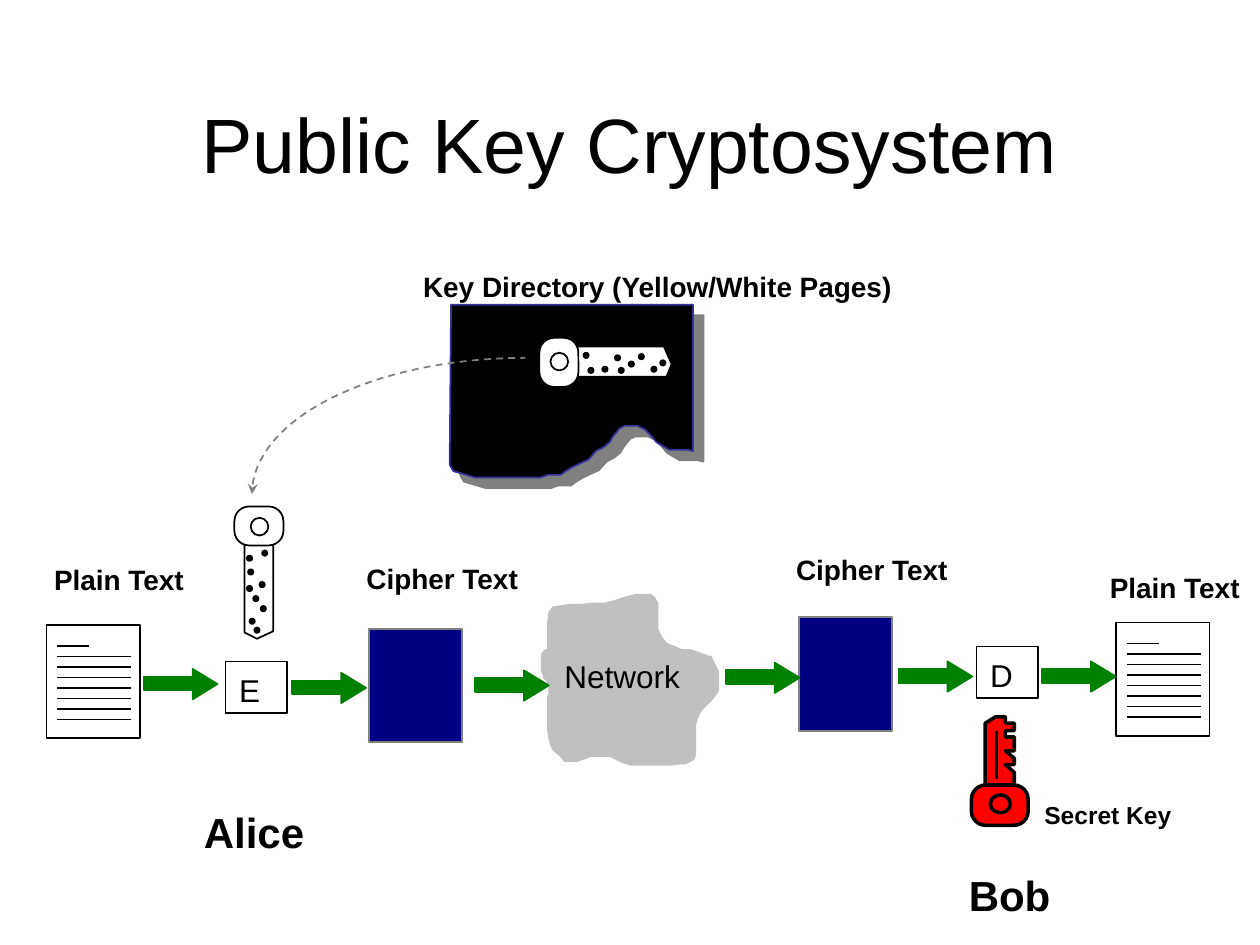
import math

import lxml.etree
import pptx
import pptx.dml.color
import pptx.enum.dml
import pptx.enum.shapes
import pptx.enum.text
import pptx.oxml.ns
import pptx.util

Pt = pptx.util.Pt
RGBColor = pptx.dml.color.RGBColor
SHAPE = pptx.enum.shapes.MSO_SHAPE
ALIGN = pptx.enum.text.PP_ALIGN
ANCHOR = pptx.enum.text.MSO_ANCHOR
qn = pptx.oxml.ns.qn

BLACK = RGBColor(0x00, 0x00, 0x00)
WHITE = RGBColor(0xFF, 0xFF, 0xFF)
GREY = RGBColor(0x80, 0x80, 0x80)
SILVER = RGBColor(0xC0, 0xC0, 0xC0)
NAVY = RGBColor(0x00, 0x00, 0x80)
INDIGO = RGBColor(0x33, 0x33, 0x99)
GREEN = RGBColor(0x00, 0x80, 0x00)
RED = RGBColor(0xFF, 0x00, 0x00)

DIRECTORY = [
    (257.8, 174.2), (396, 174.2), (396, 257.8), (392.4, 257), (382.3, 257), (378.7, 254.9),
    (375.1, 252.7), (372.2, 249.1), (368.6, 245.5), (364.3, 243.4), (357.1, 243.4),
    (354.2, 244.8), (350.6, 249.1), (348.5, 252.7), (344.9, 255.6), (340.6, 257.8),
    (336.2, 262.8), (331.2, 265), (326.9, 267.1), (323.3, 269.3), (320.4, 271.4),
    (313.2, 271.4), (308.9, 272.9), (271.4, 272.9), (266.4, 271.4), (259.2, 269.3), (257, 265.7),
]
CLOUD = [
    (313.2, 371.5), (313.2, 355.7), (313.9, 349.9), (316.1, 347), (321.8, 346.3),
    (325.4, 345.6), (332.6, 345.6), (337.7, 344.9), (345.6, 344.9), (351.4, 343.4),
    (357.8, 341.3), (363.6, 339.8), (371.5, 339.8), (373.7, 341.3), (375.8, 344.9),
    (375.8, 360), (378, 364.3), (380.9, 367.9), (386.6, 370.1), (389.5, 371.5),
    (394.6, 371.5), (401, 373.7), (404.6, 375.1), (406.1, 375.1), (407.5, 378),
    (410.4, 383.8), (410.4, 394.6), (407.5, 398.9), (406.1, 400.3), (401.8, 404.6),
    (399.6, 407.5), (398.2, 411.1), (397.4, 414), (397.4, 430.6), (396.7, 433.4),
    (394.6, 434.9), (391.7, 436.3), (388.8, 436.3), (383.8, 437), (360.7, 437),
    (355.7, 435.6), (352.8, 434.2), (348.5, 432), (337.7, 432), (334.1, 433.4),
    (329.8, 434.9), (322.6, 434.9), (320.4, 432), (316.1, 428.4), (314.6, 424.8),
    (313.9, 421.9), (313.2, 417.6), (313.2, 398.2), (313.9, 396.7), (313.9, 392.4),
    (312.5, 388.8), (311, 387.4), (310.3, 384.5), (309.6, 383), (309.6, 374.4),
    (310.3, 373), (311.8, 371.5),
]
SECRET_SHAFT = [
    (563, 448.6), (563, 413.3), (568.8, 409.7), (574.6, 409.7), (574.6, 413.3),
    (579.6, 413.3), (579.6, 417.6), (574.6, 417.6), (574.6, 421.2), (579.6, 421.2),
    (579.6, 429.1), (574.6, 429.1), (579.6, 433.4), (579.6, 437), (574.6, 437),
    (579.6, 441.4), (579.6, 448.6),
]
ALICE_SHAFT = [(156.2, 310.3), (156.2, 360.7), (146.9, 365), (139.7, 361.4), (139.7, 310.3)]
ALICE_DOTS = [
    (144.7, 340.6), (141.8, 325.4), (142.6, 353.5), (148.3, 332.6), (149.8, 314.6),
    (141.1, 334.8), (149, 346.3), (141.1, 317.5), (145.4, 358.6),
]
LISTED_SHAFT = [(329.8, 198), (379.4, 198), (383.8, 208.1), (380.9, 215.3), (329, 215.3)]
LISTED_DOTS = [
    (359.3, 206.6), (344.2, 209.5), (372.2, 209.5), (351.4, 203), (333.4, 201.6),
    (353.5, 210.2), (365, 202.3), (336.2, 210.2), (377.3, 205.9),
]


class Diagram:
    font = "Arial"

    def __init__(self, slide):
        self.slide = slide
        self.shapes = slide.shapes

    def style(self, shape, fill, line, width=1):
        shape.shadow.inherit = False
        if fill is None:
            shape.fill.background()
        else:
            shape.fill.solid()
            shape.fill.fore_color.rgb = fill
        shape.line.color.rgb = line
        shape.line.width = Pt(width)
        return shape

    def shape(self, kind, box, fill, line=BLACK, width=1, rounding=None):
        shape = self.shapes.add_shape(kind, *map(Pt, box))
        if rounding is not None:
            shape.adjustments[0] = rounding
        return self.style(shape, fill, line, width)

    def outline(self, points, fill, line=BLACK, width=1, close=True):
        start, *rest = [(Pt(x), Pt(y)) for x, y in points]
        builder = self.shapes.build_freeform(*start)
        builder.add_line_segments(rest, close=close)
        return self.style(builder.convert_to_shape(), fill, line, width)

    def line(self, start, end, width=1):
        connector = self.shapes.add_connector(
            pptx.enum.shapes.MSO_CONNECTOR.STRAIGHT, *map(Pt, start + end))
        connector.line.color.rgb = BLACK
        connector.line.width = Pt(width)
        lxml.etree.SubElement(connector._element.spPr, qn("a:effectLst"))
        return connector

    def text(self, text, box, size, bold=False, title=False):
        shape = self.shapes.add_textbox(*map(Pt, box))
        frame = shape.text_frame
        frame.word_wrap = title
        paragraph = frame.paragraphs[0]
        paragraph.text = text
        if title:
            frame.vertical_anchor = ANCHOR.BOTTOM
            paragraph.alignment = ALIGN.CENTER
        else:
            frame.auto_size = pptx.enum.text.MSO_AUTO_SIZE.SHAPE_TO_FIT_TEXT
        paragraph.font.name = self.font
        paragraph.font.size = Pt(size)
        paragraph.font.bold = bold
        paragraph.font.color.rgb = BLACK
        return shape

    def group(self, *members):
        return self.shapes.add_group_shape(members)

    def document(self, left, top):
        page = self.shape(SHAPE.RECTANGLE, (left, top, 53.3, 64.8), WHITE)
        rows = []
        for row in range(8):
            x, y = left + 6.2, top + 12 + 6 * row
            rows.append(self.line((x, y), (x + (42 if row else 18), y)))
        self.group(page, *rows)

    def arrow(self, left, top):
        tip = left + 28
        self.group(
            self.shape(SHAPE.RECTANGLE, (left, top, 27.4, 7.9), GREEN, GREEN),
            self.outline([(tip, top - 4.3), (tip, top + 13), (tip + 14.2, top + 4.3)], GREEN, GREEN))

    def public_key(self, shaft, head, hole, dots):
        self.group(
            self.outline(shaft, WHITE),
            self.shape(SHAPE.ROUNDED_RECTANGLE, head, WHITE, rounding=0.38),
            self.shape(SHAPE.OVAL, hole, WHITE),
            *[self.shape(SHAPE.OVAL, (x, y, 3, 3), BLACK) for x, y in dots])

    def secret_key(self):
        self.group(
            self.shape(SHAPE.ROUNDED_RECTANGLE, (555.1, 448.6, 32.4, 23), RED, width=2, rounding=0.35),
            self.shape(SHAPE.OVAL, (565.9, 454.3, 11.5, 10.1), RED, width=2),
            self.outline(SECRET_SHAFT, RED, width=2),
            self.line((569.5, 445), (569.5, 417.6), 2))

    def directory(self):
        shape = self.outline(DIRECTORY, BLACK, INDIGO)
        effects = shape._element.spPr.find(qn("a:effectLst"))
        shadow = lxml.etree.SubElement(
            effects, qn("a:outerShdw"), dist=str(Pt(8.5)), dir="2700000", algn="ctr", rotWithShape="0")
        lxml.etree.SubElement(shadow, qn("a:srgbClr"), val=str(GREY))

    def lookup_curve(self, left, top, width, height, steps=32):
        angles = [math.pi / 2 * step / steps for step in range(steps + 1)]
        points = [(left + width * (1 - math.cos(angle)), top + height * (1 - math.sin(angle)))
                  for angle in angles]
        curve = self.outline(points, None, GREY, close=False)
        curve.line.dash_style = pptx.enum.dml.MSO_LINE.DASH
        lxml.etree.SubElement(curve.line._get_or_add_ln(), qn("a:headEnd"), type="stealth")


def main():
    presentation = pptx.Presentation()
    presentation.slide_width, presentation.slide_height = Pt(720), Pt(540)
    diagram = Diagram(presentation.slides.add_slide(presentation.slide_layouts[6]))

    diagram.text("Public Key Cryptosystem", (36, 21.6, 648, 90), 44, title=True)
    diagram.directory()
    for position in [(26.6, 357.1), (637.9, 355.7)]:
        diagram.document(*position)
    for letter, left, top in [("E", 128.9, 378), ("D", 558, 369.4)]:
        diagram.shape(SHAPE.RECTANGLE, (left, top, 35.3, 29.5), WHITE)
        diagram.text(letter, (left + 0.7, top + 1.8, 27, 28.8), 18)
    diagram.group(
        diagram.outline(CLOUD, SILVER, SILVER),
        diagram.text("Network", (315.4, 372.2, 80.6, 28.8), 18))
    for left, top in [(210.8, 359.3), (456.5, 352.8)]:
        diagram.shape(SHAPE.RECTANGLE, (left, top, 53.3, 64.8), NAVY, GREY)
    diagram.secret_key()
    for position in [(82.1, 386.6), (167, 388.8), (271.4, 387.4),
                     (414.7, 383), (513.4, 382.3), (595.4, 382.3)]:
        diagram.arrow(*position)
    diagram.public_key(ALICE_SHAFT, (133.9, 289.4, 28.1, 22.3), (143.3, 295.9, 10.1, 10.1), ALICE_DOTS)
    for label, box, size in [
        ("Plain Text", (23.8, 318.2, 90, 26.6), 16),
        ("Cipher Text", (202.3, 317.5, 102.2, 26.6), 16),
        ("Cipher Text", (447.8, 312.5, 102.2, 26.6), 16),
        ("Plain Text", (627.1, 322.6, 90, 26.6), 16),
        ("Alice", (109.4, 457.2, 72, 36), 24),
        ("Bob", (546.5, 493.2, 61.2, 36), 24),
        ("Key Directory (Yellow/White Pages)", (234.7, 150.5, 283, 26.6), 16),
        ("Secret Key", (589.7, 453.6, 87.1, 23.8), 14),
    ]:
        diagram.text(label, box, size, bold=True)
    diagram.lookup_curve(144, 204.5, 156.2, 77.8)
    diagram.public_key(LISTED_SHAFT, (308.2, 193, 22.3, 28.1), (314.6, 201.6, 10.1, 10.1), LISTED_DOTS)

    presentation.save("out.pptx")


if __name__ == "__main__":
    main()
